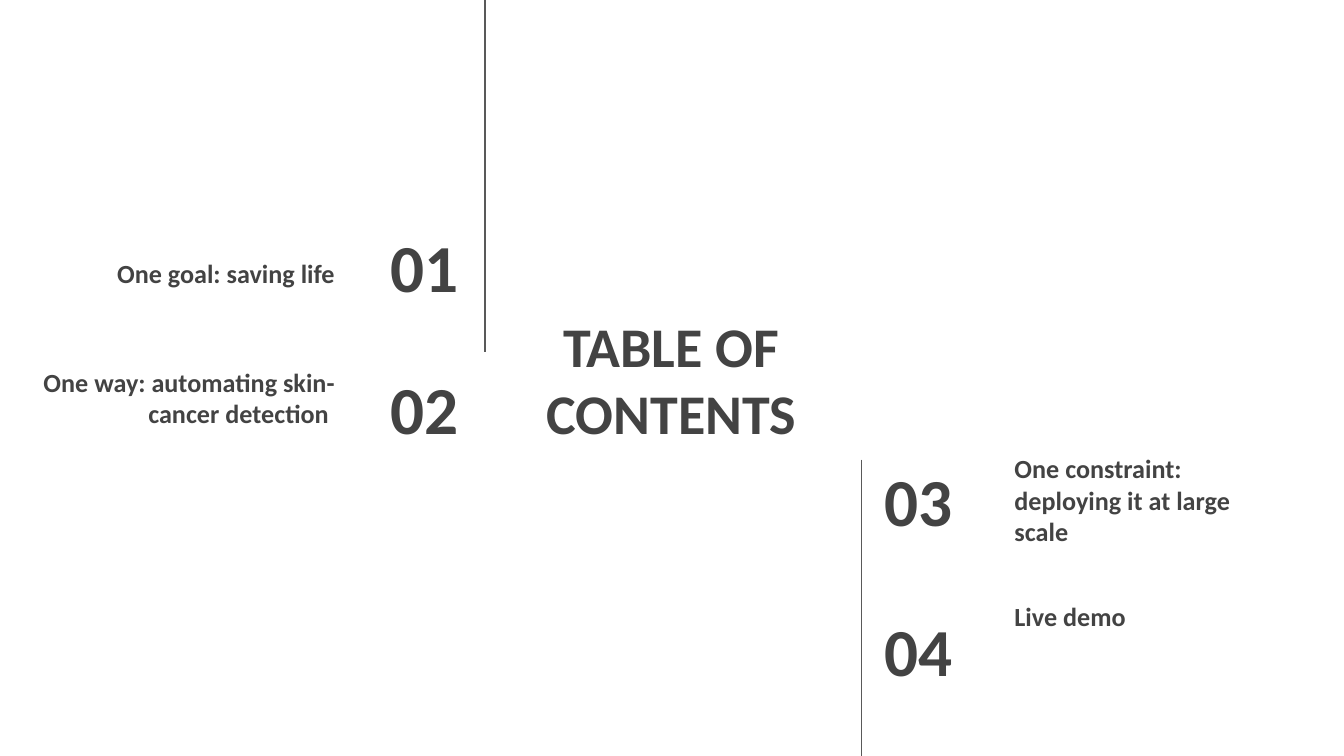
"""Build a table of contents slide with four numbered sections around a central title."""
from lxml.etree import SubElement
from pptx import Presentation
from pptx.dml.color import RGBColor
from pptx.enum.shapes import MSO_CONNECTOR
from pptx.enum.text import MSO_ANCHOR, PP_ALIGN
from pptx.oxml.ns import qn
from pptx.util import Inches, Pt

COLORS = {"background": "FFFFFF", "text": "434343", "divider": "595959"}
LEFT, CENTER, RIGHT = PP_ALIGN.LEFT, PP_ALIGN.CENTER, PP_ALIGN.RIGHT
MIDDLE, BOTTOM = MSO_ANCHOR.MIDDLE, MSO_ANCHOR.BOTTOM
FONT = {"name": "Calibri", "bold": True}
FRAME = {"word_wrap": True} | {
    f"margin_{side}": Inches(0.1) for side in ("left", "top", "right", "bottom")
}


def add_label(slide, text, bounds, size, align, anchor):
    label = slide.shapes.add_textbox(*(Inches(length) for length in bounds))
    frame = label.text_frame
    paragraph = frame.paragraphs[0]
    paragraph.text = text
    paragraph.alignment = align
    run_font = paragraph.runs[0].font
    for target, values in (
        (frame, FRAME | {"vertical_anchor": anchor}),
        (run_font, FONT | {"size": Pt(size)}),
    ):
        for key, value in values.items():
            setattr(target, key, value)
    run_font.color.rgb = RGBColor.from_string(COLORS["text"])


presentation = Presentation()
presentation.slide_width = Inches(10)
presentation.slide_height = Inches(10) * 9 // 16
contents = presentation.slides.add_slide(presentation.slide_layouts[6])
contents.background.fill.solid()
contents.background.fill.fore_color.rgb = RGBColor.from_string(COLORS["background"])

add_label(contents, "TABLE OF CONTENTS", (3.7, 2.3, 2.59, 1.03), 30, CENTER, MIDDLE)

for x, top, bottom in ((3.61, 0, 2.62), (6.41, 3.42, 5.64)):
    divider = contents.shapes.add_connector(
        MSO_CONNECTOR.STRAIGHT, Inches(x), Inches(top), Inches(x), Inches(bottom)
    )
    divider.line.color.rgb = RGBColor.from_string(COLORS["divider"])
    divider.line.width = Pt(0.75)
    SubElement(divider._element.spPr, qn("a:effectLst"))

sections = (
    ("One goal: saving life", (2.3, 1.66, 1.21, 0.63), (0, 1.43, 2.59, 0.82), RIGHT),
    ("One way: automating skin-cancer detection ", (2.3, 2.72, 1.21, 0.63),
     (0.18, 2.84, 2.41, 0.45), RIGHT),
    ("One constraint: deploying it at large scale", (6.48, 3.4, 1.17, 0.63),
     (7.45, 3.54, 2.16, 0.63), LEFT),
    ("Live demo", (6.48, 4.52, 1.17, 0.63), (7.45, 4.17, 2.16, 0.63), LEFT),
)
for number, (heading, number_bounds, heading_bounds, align) in enumerate(sections, 1):
    add_label(contents, f"{number:02}", number_bounds, 36, align, MIDDLE)
    add_label(contents, heading, heading_bounds, 14, align, BOTTOM)

presentation.save("out.pptx")
